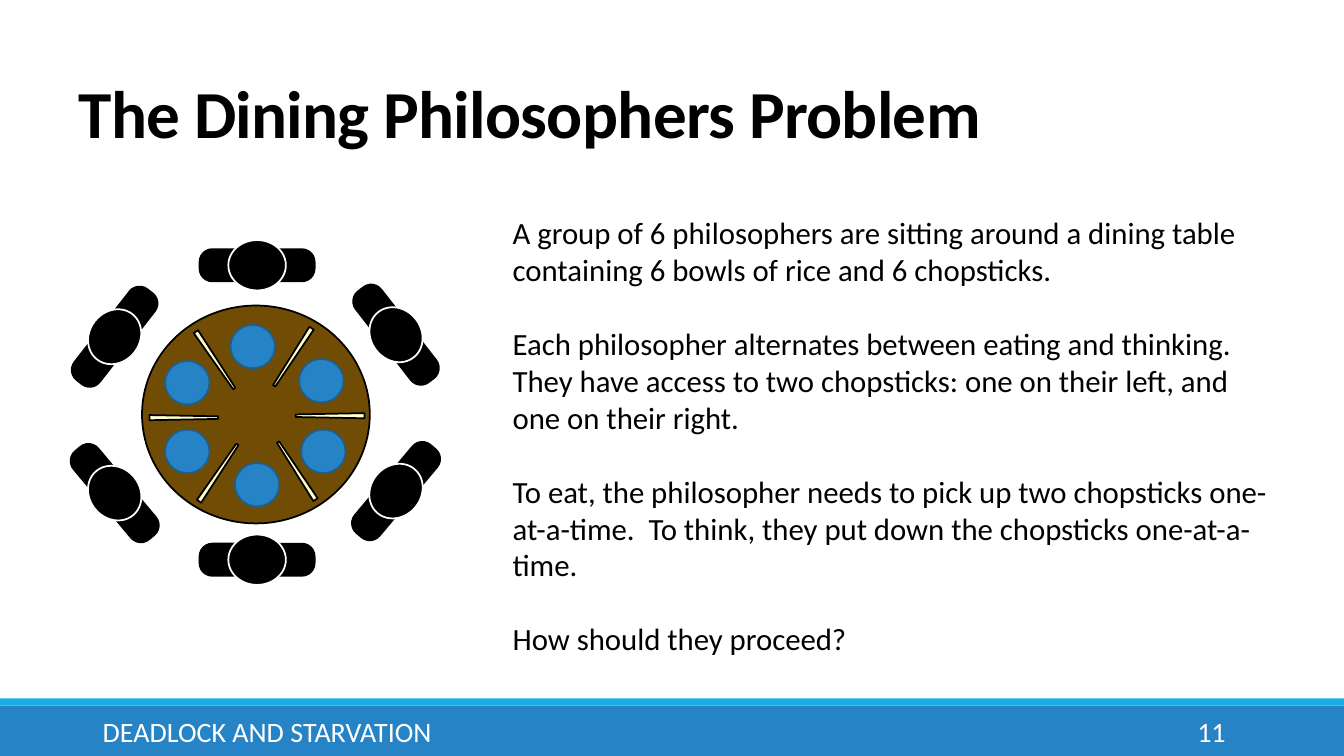
from dataclasses import dataclass

from pptx import Presentation
from pptx.dml.color import RGBColor
from pptx.enum.shapes import MSO_SHAPE
from pptx.enum.text import MSO_ANCHOR, PP_ALIGN
from pptx.util import Cm, Pt

RECTANGLE = MSO_SHAPE.RECTANGLE
ROUNDED = MSO_SHAPE.ROUNDED_RECTANGLE
OVAL = MSO_SHAPE.OVAL
TRAPEZOID = MSO_SHAPE.TRAPEZOID
TOP, MIDDLE, BOTTOM = MSO_ANCHOR.TOP, MSO_ANCHOR.MIDDLE, MSO_ANCHOR.BOTTOM
LEFT, RIGHT = PP_ALIGN.LEFT, PP_ALIGN.RIGHT


@dataclass(frozen=True)
class Theme:
    font: str = "Calibri"
    black: str = "000000"
    white: str = "FFFFFF"
    blue: str = "2683C6"
    accent: str = "1CADE4"
    bowl_edge: str = "1C6192"
    wood: str = "704C04"
    chopstick: str = "FFFFCC"
    title_size: float = 48
    body_size: float = 22
    footer_size: float = 20
    outline: float = 1.25


THEME = Theme()

# Offsets from the table's centre in cm, with a turn in degrees where needed
PHILOSOPHERS = [
    (-3.56, -1.96, 307.9), (0.03, -3.76, 0), (0.03, 3.66, 0),
    (-3.56, 1.98, 230), (3.53, -2.01, 52.1), (3.53, 1.93, 130),
]
CHOPSTICKS = [
    (1.87, 0.03, 270), (1.03, 1.42, 327), (-0.95, 1.47, 34),
    (-1.82, 0.08, 90), (0.93, -1.45, 213), (-1.03, -1.37, 146),
]
BOWLS = [
    (-0.08, -1.71), (1.65, -0.85), (1.7, 0.93),
    (0.03, 1.77), (-1.73, 0.93), (-1.73, -0.8),
]

BODY = [
    "A group of 6 philosophers are sitting around a dining table containing 6 bowls of rice and 6 chopsticks.",
    "Each philosopher alternates between eating and thinking.  They have access to two chopsticks: one on their left, and one on their right.",
    "To eat, the philosopher needs to pick up two chopsticks one-at-a-time.  To think, they put down the chopsticks one-at-a-time.",
    "How should they proceed?",
]


def add_filled(shapes, kind, box, fill, line=None):
    """Add a preset shape in a (left, top, width, height) box in cm."""
    shape = shapes.add_shape(kind, *map(Cm, box))
    shape.shadow.inherit = False
    shape.fill.solid()
    shape.fill.fore_color.rgb = RGBColor.from_string(fill)
    if line:
        shape.line.color.rgb = RGBColor.from_string(line)
        shape.line.width = Pt(THEME.outline)
    else:
        shape.line.fill.background()
    return shape


def add_centred(shapes, kind, centre, size, fill, line, turn=0):
    (x, y), (width, height) = centre, size
    box = (x - width / 2, y - height / 2, width, height)
    shape = add_filled(shapes, kind, box, fill, line)
    shape.rotation = turn
    return shape


def add_text(slide, box, texts, size, color, anchor=TOP, bold=False, **paragraph_format):
    frame = slide.shapes.add_textbox(*map(Cm, box)).text_frame
    frame.word_wrap = True
    frame.vertical_anchor = anchor
    font_format = {"name": THEME.font, "size": Pt(size), "bold": bold}
    for index, text in enumerate(texts):
        paragraph = frame.paragraphs[0] if index == 0 else frame.add_paragraph()
        run = paragraph.add_run()
        run.text = text
        for name, value in font_format.items():
            setattr(run.font, name, value)
        run.font.color.rgb = RGBColor.from_string(color)
        for name, value in paragraph_format.items():
            if name != "space_before" or index > 0:
                setattr(paragraph, name, value)
    return frame


def add_title(slide, box):
    frame = add_text(slide, box, ["The Dining Philosophers Problem"], THEME.title_size,
                     THEME.black, BOTTOM, True, line_spacing=0.85)
    frame.paragraphs[0].runs[0].font._element.set("spc", "-50")


def add_footer(slide, box):
    left, top, width, height = box
    stripe = 0.18
    add_filled(slide.shapes, RECTANGLE, (left, top + stripe, width, height - stripe), THEME.blue)
    add_filled(slide.shapes, RECTANGLE, (left, top, width, stripe), THEME.accent)
    labels = [
        ("DEADLOCK AND STARVATION", 2.34, 21.31, LEFT),
        ("11", 27.51, 3.63, RIGHT),
    ]
    for text, offset, label_width, alignment in labels:
        add_text(slide, (left + offset, top + 0.33, label_width, 1.02), [text],
                 THEME.footer_size, THEME.white, MIDDLE, alignment=alignment)


def add_dining_table(slide, box):
    """Draw the table in its box, with the philosophers seated around it."""
    left, top, width, height = box
    centre_x, centre_y = left + width / 2, top + height / 2
    shapes = slide.shapes.add_group_shape().shapes

    for x, y, turn in PHILOSOPHERS:
        seat = (centre_x + x, centre_y + y)
        shoulders = add_centred(shapes, ROUNDED, seat, (2.9, 0.81), THEME.black, THEME.black, turn)
        shoulders.adjustments[0] = 0.395
        add_centred(shapes, OVAL, seat, (1.45, 1.27), THEME.black, THEME.white, turn)

    add_filled(shapes, OVAL, box, THEME.wood, THEME.black)
    for x, y, turn in CHOPSTICKS:
        add_centred(shapes, TRAPEZOID, (centre_x + x, centre_y + y), (0.13, 1.73),
                    THEME.chopstick, THEME.black, turn)
    for x, y in BOWLS:
        add_centred(shapes, OVAL, (centre_x + x, centre_y + y), (1.12, 1.09),
                    THEME.blue, THEME.bowl_edge)


def build_problem_slide(presentation):
    slide = presentation.slides.add_slide(presentation.slide_layouts[6])
    add_footer(slide, (0, 17.6, 33.87, 1.45))
    add_title(slide, (1.73, 1.8, 27.94, 2.16))
    add_dining_table(slide, (3.58, 7.7, 5.74, 5.49))
    add_text(slide, (12.67, 5.26, 19.76, 12.47), BODY, THEME.body_size, THEME.black,
             space_before=Pt(26.4))


def main():
    presentation = Presentation()
    presentation.slide_width = Cm(33.87)
    presentation.slide_height = Cm(19.05)
    build_problem_slide(presentation)
    presentation.save("out.pptx")


if __name__ == "__main__":
    main()
